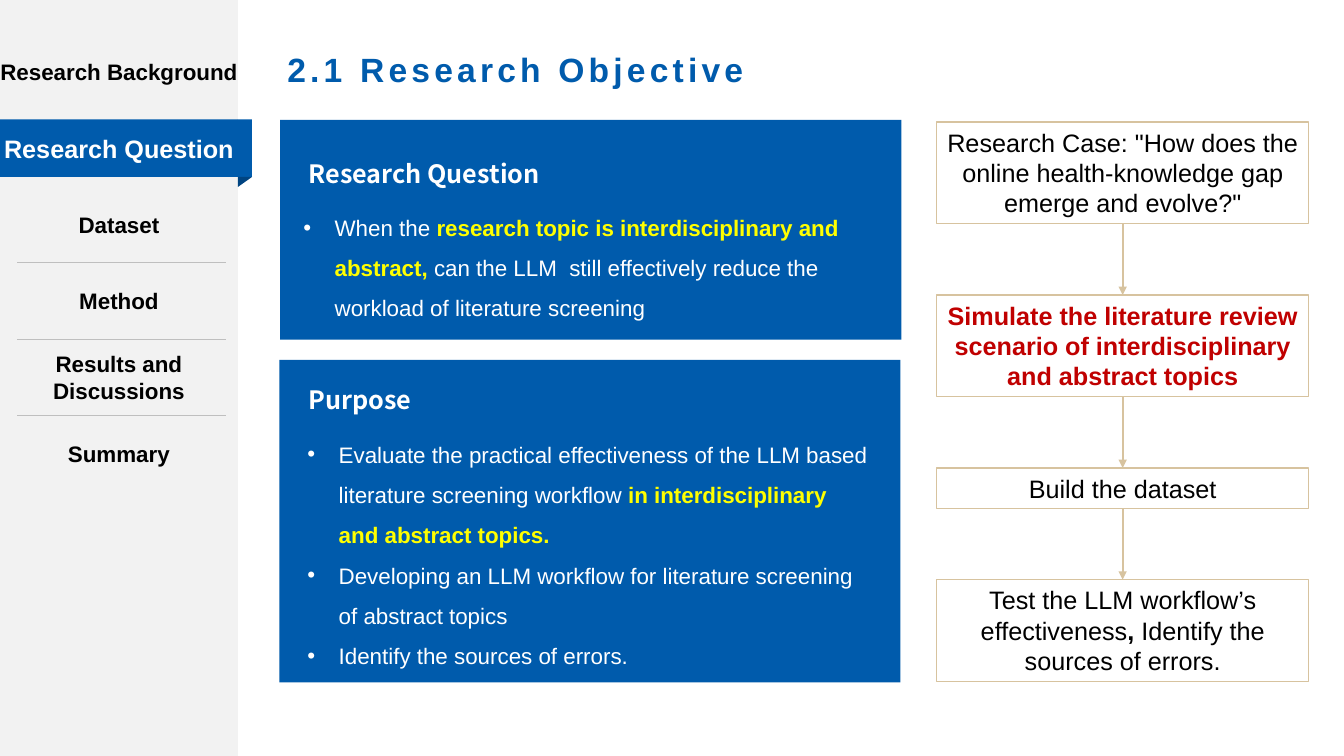
from dataclasses import dataclass

from lxml import etree
from pptx import Presentation
from pptx.dml.color import RGBColor
from pptx.enum.shapes import MSO_CONNECTOR as CONN, MSO_SHAPE as SHAPE
from pptx.enum.text import MSO_ANCHOR as ANCHOR, MSO_AUTO_SIZE as AUTO, PP_ALIGN as ALIGN
from pptx.oxml.ns import qn
from pptx.util import Inches, Pt


@dataclass(frozen=True)
class Theme:
    """Colours, fonts and type sizes of the slide."""
    blue: str = "005BAC"
    fold: str = "004481"
    grey: str = "F2F2F2"
    rule: str = "BFBFBF"
    sand: str = "D7C39F"
    white: str = "FFFFFF"
    black: str = "000000"
    yellow: str = "FFFF00"
    red: str = "C00000"
    font: str = "Arial"
    heading_font: str = "Noto Sans CJK SC"
    title: int = 24
    heading: int = 18
    body: int = 16


T = Theme()


def inches(*lengths):
    """Turn plain numbers into lengths."""
    return [Inches(n) for n in lengths]


def add_run(p, text, size, color, bold=False, font=T.font):
    """Add one formatted run to a paragraph."""
    r = p.add_run()
    r.text = text
    r.font.name, r.font.size, r.font.bold = font, Pt(size), bold
    r.font.color.rgb = RGBColor.from_string(color)
    return r


def set_frame(sp, margin=0, anchor=ANCHOR.TOP, wrap=True):
    """Set the margins, anchor and wrapping of a text frame."""
    tf = sp.text_frame
    tf.margin_left = tf.margin_right = Inches(margin)
    tf.margin_top = tf.margin_bottom = Inches(margin / 2)
    tf.vertical_anchor, tf.word_wrap = anchor, wrap
    return tf


def add_block(shapes, box, fill, line=None, kind=SHAPE.RECTANGLE):
    """Add a flat filled shape with an optional outline."""
    sp = shapes.add_shape(kind, *inches(*box))
    sp.shadow.inherit = False
    sp.fill.solid()
    sp.fill.fore_color.rgb = RGBColor.from_string(fill)
    if line:
        sp.line.color.rgb = RGBColor.from_string(line)
        sp.line.width = Pt(1)
    else:
        sp.line.fill.background()
    return sp


def add_line(shapes, start, end, color, width):
    """Add a straight line without a shadow."""
    c = shapes.add_connector(CONN.STRAIGHT, *inches(*start, *end))
    c.line.color.rgb = RGBColor.from_string(color)
    c.line.width = Pt(width)
    etree.SubElement(c._element.spPr, qn("a:effectLst"))
    return c


def add_title(s, box, text):
    """Place the slide title in its placeholder."""
    sp = s.shapes.title
    sp.left, sp.top, sp.width, sp.height = inches(*box)
    tf = set_frame(sp, 0.08, ANCHOR.MIDDLE)
    tf.auto_size = AUTO.NONE
    p = tf.paragraphs[0]
    p.alignment, p.line_spacing = ALIGN.LEFT, 0.9
    r = add_run(p, text, T.title, T.blue, True)
    r.font._element.set("spc", "300")


def add_bullet(p, runs):
    """Write one bulleted paragraph from (text, highlighted) pairs."""
    pPr = p._p.get_or_add_pPr()
    pPr.set("marL", str(Inches(0.31)))
    pPr.set("indent", str(-Inches(0.31)))
    etree.SubElement(pPr, qn("a:buFont")).set("typeface", T.font)
    etree.SubElement(pPr, qn("a:buChar")).set("char", "•")
    p.line_spacing = 1.5
    for text, highlighted in runs:
        add_run(p, text, T.body, T.yellow if highlighted else T.white, highlighted)


def add_panel(s, box, heading, heading_at, body_at, body_width, bullets):
    """Add a blue panel with a heading and a bulleted list."""
    x, y, w, h = box
    shapes = s.shapes.add_group_shape().shapes
    add_block(shapes, box, T.blue)
    sp = shapes.add_textbox(*inches(x + heading_at[0], y + heading_at[1], 2.32, 0.3))
    p = set_frame(sp, wrap=False).paragraphs[0]
    add_run(p, heading, T.heading, T.white, True, T.heading_font)
    sp = shapes.add_textbox(*inches(x + body_at[0], y + body_at[1], body_width, h - body_at[1]))
    tf = set_frame(sp)
    for i, runs in enumerate(bullets):
        add_bullet(tf.add_paragraph() if i else tf.paragraphs[0], runs)


def add_sidebar(s, box, items, active):
    """Add the section list with the active section on a folded ribbon."""
    x, y, w, h = box
    first, last, row_h = 0.43, 4.21, 0.57
    pitch = (last - first) / (len(items) - 1)
    add_block(s.shapes, box, T.grey)
    for i, item in enumerate(items):
        top = y + first + i * pitch
        row = (x, top, w, row_h)
        if i == active:
            sp = add_block(s.shapes, row, T.blue)
            add_ribbon_end(s, (x + w, top, 0.14, row_h))
        else:
            sp = s.shapes.add_textbox(*inches(*row))
        p = set_frame(sp, anchor=ANCHOR.MIDDLE).paragraphs[0]
        p.alignment = ALIGN.CENTER
        size, color = (T.heading, T.white) if i == active else (T.body, T.black)
        add_run(p, item, size, color, True)
        if active < i < len(items) - 1:
            rule_y = top + (pitch + row_h) / 2
            add_line(s.shapes, (x + 0.17, rule_y), (x + 2.24, rule_y), T.rule, 0.25)


def add_ribbon_end(s, box):
    """Add the ribbon's overhang and the fold below it."""
    x, y, w, h = box
    shapes = s.shapes.add_group_shape().shapes
    add_block(shapes, box, T.blue)
    fold = add_block(shapes, (x, y + h, w, 0.1), T.fold, kind=SHAPE.RIGHT_TRIANGLE)
    fold._element.spPr.xfrm.set("flipV", "1")


def add_flow(s, box, steps):
    """Add a column of outlined steps joined by arrows."""
    x, y, w, h = box
    gap = (h - sum(step[0] for step in steps)) / (len(steps) - 1)
    previous = None
    for step_h, color, runs in steps:
        sp = add_block(s.shapes, (x, y, w, step_h), T.white, T.sand)
        tf = set_frame(sp, 0.1)
        tf.auto_size = AUTO.SHAPE_TO_FIT_TEXT
        p = tf.paragraphs[0]
        p.alignment = ALIGN.CENTER
        for text, bold in runs:
            add_run(p, text, T.heading, color, bold)
        if previous:
            mid = x + w / 2
            c = add_line(s.shapes, (mid, y - gap), (mid, y), T.sand, 1.5)
            c.begin_connect(previous, 2)
            c.end_connect(sp, 0)
            etree.SubElement(c.line._get_or_add_ln(), qn("a:tailEnd")).set("type", "triangle")
        previous = sp
        y += step_h + gap


def main():
    """Build the slide and save it."""
    prs = Presentation()
    prs.slide_width, prs.slide_height = inches(13.33, 7.5)
    s = prs.slides.add_slide(prs.slide_layouts[5])
    add_title(s, (2.77, 0.49, 6.61, 0.44), "2.1 Research Objective")
    add_panel(s, (2.78, 1.19, 6.16, 2.18), "Research Question", (0.28, 0.38), (0.23, 0.8), 5.7, [
        [("When the ", False),
         ("research topic is interdisciplinary and abstract,", True),
         (" can the LLM  still effectively reduce the workload of literature screening", False)],
    ])
    add_panel(s, (2.77, 3.57, 6.16, 3.2), "Purpose", (0.29, 0.24), (0.28, 0.67), 5.6, [
        [("Evaluate the practical effectiveness of the LLM based literature screening workflow ", False),
         ("in interdisciplinary and abstract topics.", True)],
        [("Developing an LLM workflow for literature screening of abstract topics", False)],
        [("Identify the sources of errors.", False)],
    ])
    add_sidebar(s, (0, 0, 2.36, 7.5), ["Research Background", "Research Question", "Dataset",
                                       "Method", "Results and Discussions", "Summary"], 1)
    add_flow(s, (9.29, 1.21, 3.69, 5.55), [
        (1.01, T.black, [('Research Case: "How does the online health-knowledge gap emerge and evolve?"', False)]),
        (1.01, T.red, [("Simulate the literature review scenario of interdisciplinary and abstract topics", True)]),
        (0.4, T.black, [("Build the dataset", False)]),
        (1.01, T.black, [("Test the LLM workflow’s effectiveness", False), (", ", True),
                         ("Identify the sources of errors.", False)]),
    ])
    prs.save("out.pptx")


if __name__ == "__main__":
    main()
